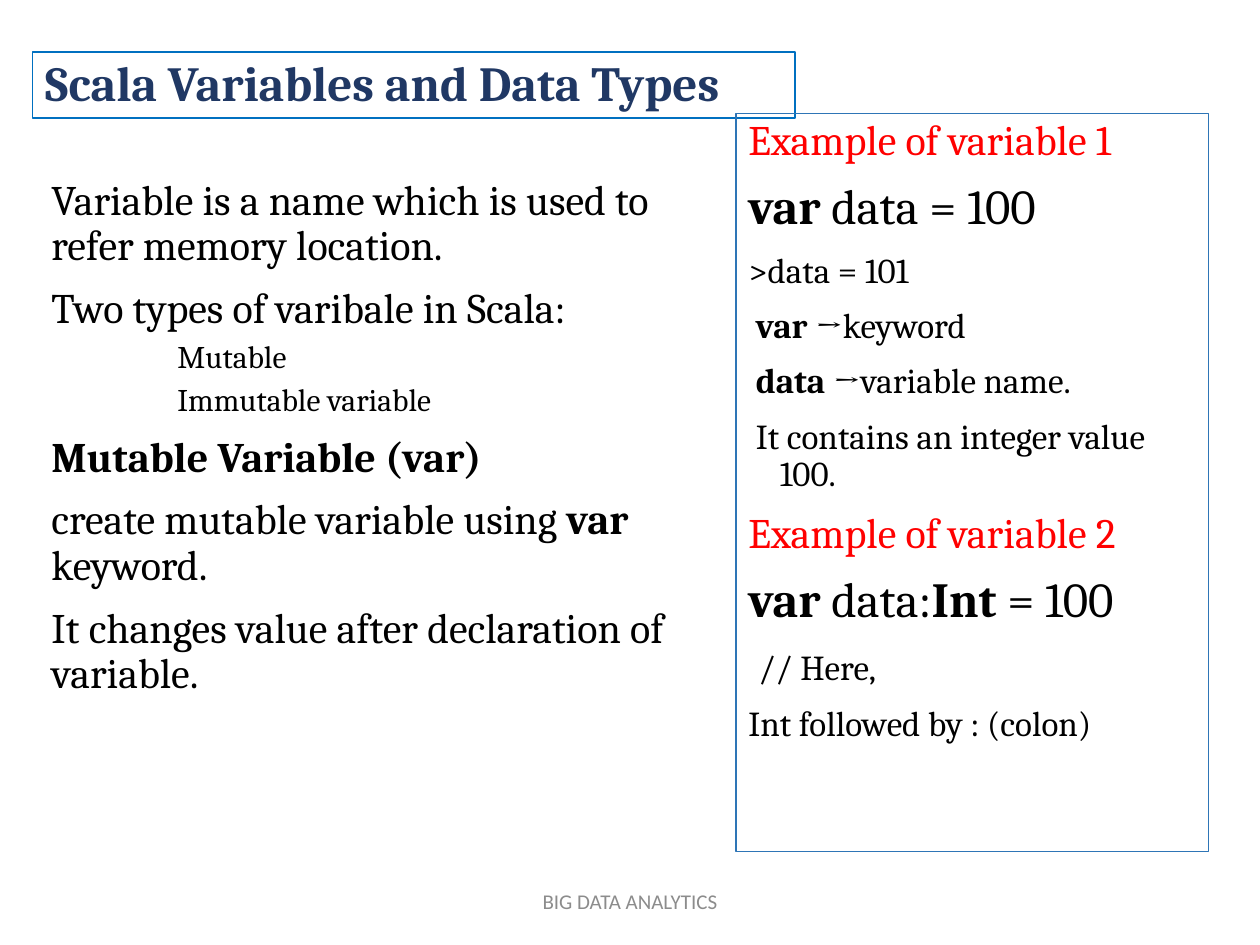
"""Builds the slide on Scala variables and data types."""
from dataclasses import dataclass
from typing import Optional

from pptx import Presentation
from pptx.dml.color import RGBColor
from pptx.enum.shapes import MSO_SHAPE
from pptx.enum.text import MSO_ANCHOR, PP_ALIGN
from pptx.util import Inches, Pt

WIDTH, HEIGHT = Inches(10), Inches(7.5)


@dataclass(frozen=True)
class Theme:
    """Colours, fonts and type sizes of the slide."""
    title: str = "203864"
    title_border: str = "0070C0"
    panel_border: str = "2E75B6"
    accent: str = "FF0000"
    text: str = "000000"
    muted: str = "8C8C8C"
    serif: str = "Cambria"
    sans: str = "Calibri"
    large: int = 28
    medium: int = 24
    code: int = 20
    small: int = 18
    footer: int = 12


THEME = Theme()


@dataclass(frozen=True)
class Line:
    """A paragraph in which ** switches bold on and off."""
    text: str
    size: int = THEME.medium
    color: str = THEME.text
    font: str = THEME.serif
    margin: float = 0
    indent: float = 0
    before: float = 10
    spacing: float = 0.9
    align: PP_ALIGN = PP_ALIGN.LEFT


@dataclass(frozen=True)
class Block:
    """A text area placed by shares of the slide's width and height."""
    left: float
    top: float
    width: float
    height: float
    lines: tuple[Line, ...]
    border: Optional[str] = None
    anchor: MSO_ANCHOR = MSO_ANCHOR.TOP


def hanging(text: str, shift: float = 0, **style) -> Line:
    """Return a line with a hanging indent, its start moved right by shift inches."""
    return Line(text, margin=0.25, indent=shift - 0.25, **style)


def code(text: str, shift: float = 0, **style) -> Line:
    """Return a hanging line in the code size."""
    return hanging(text, shift, size=THEME.code, **style)


def nested(text: str) -> Line:
    """Return a second-level line."""
    return Line(text, size=THEME.small, margin=1, before=5)


def add_line(para, line: Line, *, first: bool) -> None:
    """Write one line into a paragraph."""
    properties = para._p.get_or_add_pPr()
    properties.set("marL", str(Inches(line.margin)))
    properties.set("indent", str(Inches(line.indent)))
    para.alignment = line.align
    para.line_spacing = line.spacing
    para.space_before = Pt(0 if first else line.before)
    for index, text in enumerate(line.text.split("**")):
        if text:
            span = para.add_run()
            span.text = text
            span.font.name = line.font
            span.font.size = Pt(line.size)
            span.font.bold = index % 2 == 1
            span.font.color.rgb = RGBColor.from_string(line.color)


def add_block(page, block: Block) -> None:
    """Draw a text area, with a border where it has one."""
    place = (round(WIDTH * block.left), round(HEIGHT * block.top),
             round(WIDTH * block.width), round(HEIGHT * block.height))
    if block.border:
        box = page.shapes.add_shape(MSO_SHAPE.RECTANGLE, *place)
        box.shadow.inherit = False
        box.fill.background()
        box.line.color.rgb = RGBColor.from_string(block.border)
        box.line.width = Pt(0.75)
    else:
        box = page.shapes.add_textbox(*place)
    frame = box.text_frame
    frame.word_wrap = True
    frame.vertical_anchor = block.anchor
    for index, line in enumerate(block.lines):
        para = frame.add_paragraph() if index else frame.paragraphs[0]
        add_line(para, line, first=index == 0)


TITLE = Block(0.026, 0.055, 0.605, 0.07, (
    Line("**Scala Variables and Data Types**", size=THEME.large, color=THEME.title),
), border=THEME.title_border, anchor=MSO_ANCHOR.BOTTOM)

EXAMPLES = Block(0.584, 0.12, 0.375, 0.781, (
    hanging("Example of variable 1", color=THEME.accent),
    hanging("**var** data = 100", size=THEME.large),
    code(">data = 101"),
    code("**var →**keyword", 0.06),
    code("**data **→variable name.", 0.06),
    code("It contains an integer value 100.", 0.06),
    hanging("Example of variable 2", color=THEME.accent),
    hanging("**var **data:**Int** = 100", size=THEME.large),
    code("// Here,", 0.08, before=13),
    code("Int followed by : (colon)"),
), border=THEME.panel_border)

EXPLANATION = Block(0.031, 0.183, 0.518, 0.612, (
    Line("Variable is a name which is used to refer memory location."),
    Line("Two types of varibale in Scala:"),
    nested("Mutable"),
    nested("Immutable variable"),
    Line("**Mutable Variable (var)**"),
    Line("create mutable variable using **var** keyword."),
    Line("It changes value after declaration of variable."),
))

FOOTER = Block(0.331, 0.927, 0.338, 0.053, (
    Line("BIG DATA ANALYTICS", size=THEME.footer, color=THEME.muted,
         font=THEME.sans, spacing=1.0, align=PP_ALIGN.CENTER),
), anchor=MSO_ANCHOR.MIDDLE)


def main() -> None:
    """Build and save the deck."""
    deck = Presentation()
    deck.slide_width, deck.slide_height = WIDTH, HEIGHT
    page = deck.slides.add_slide(deck.slide_layouts[6])
    for block in (TITLE, EXAMPLES, EXPLANATION, FOOTER):
        add_block(page, block)
    deck.save("out.pptx")


if __name__ == "__main__":
    main()
